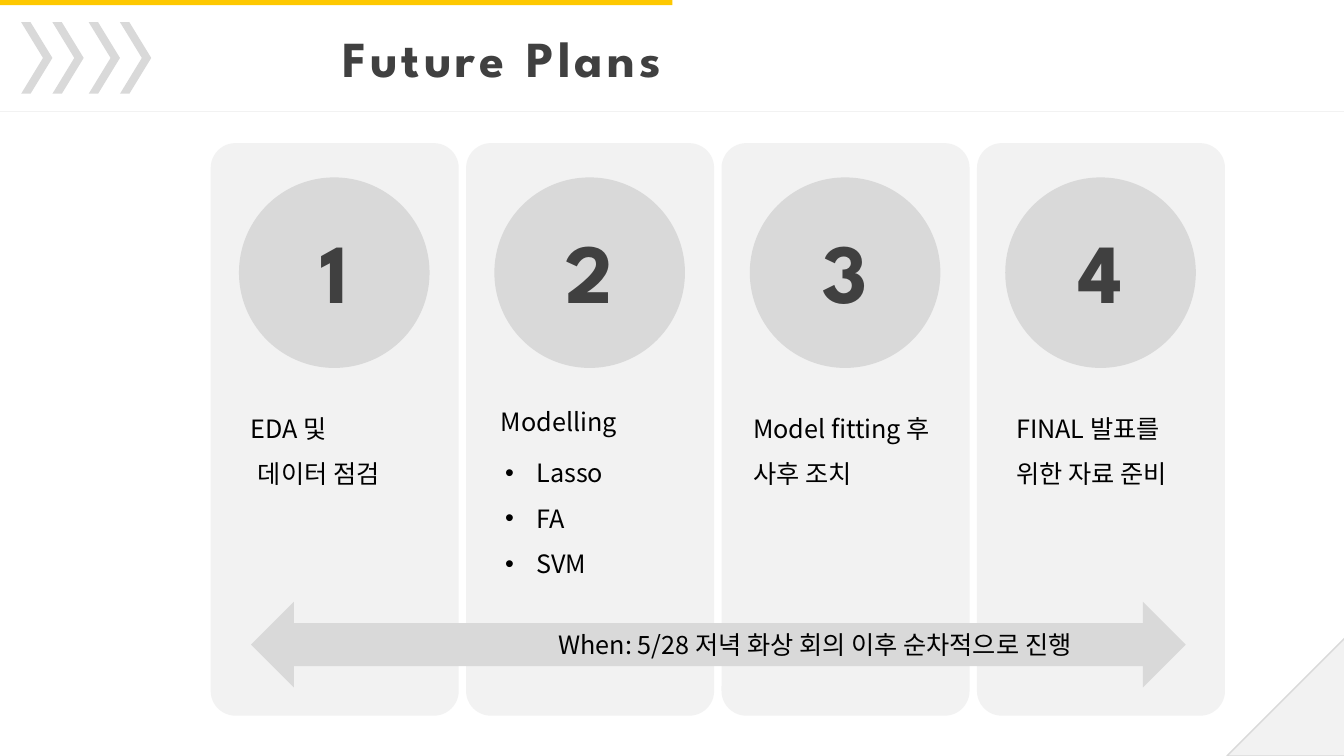
import dataclasses

import lxml.etree
import pptx
import pptx.dml.color
import pptx.enum.shapes
import pptx.enum.text
import pptx.oxml.ns
import pptx.util

Inches = pptx.util.Inches
Kind = pptx.enum.shapes.MSO_SHAPE
Align = pptx.enum.text.PP_ALIGN
qn = pptx.oxml.ns.qn


def color(code):
    return pptx.dml.color.RGBColor.from_string(code)


@dataclasses.dataclass(frozen=True)
class Theme:
    gold: str = "FEC800"
    pale: str = "F2F2F2"
    gray: str = "D9D9D9"
    dark: str = "404040"
    black: str = "000000"
    head: str = "League Spartan"
    body: str = "Noto Sans CJK KR"
    title: int = 36
    digit: int = 60
    text: int = 18


class Deck:
    def __init__(self, theme):
        self.theme = theme
        self.show = pptx.Presentation()
        self.show.slide_width = Inches(13.33)
        self.show.slide_height = Inches(7.5)
        self.slide = self.show.slides.add_slide(self.show.slide_layouts[1])

    def shape(self, kind, box, fill, adj=None, edge=None):
        item = self.slide.shapes.add_shape(kind, *map(Inches, box))
        item.shadow.inherit = False
        item.fill.solid()
        item.fill.fore_color.rgb = color(fill)
        if edge:
            item.line.color.rgb = color(edge)
            item.line.width = pptx.util.Pt(1)
        else:
            item.line.fill.background()
        if adj is not None:
            item.adjustments[0] = adj
        return item

    def rule(self, start, end, fill):
        line = self.slide.shapes.add_connector(
            pptx.enum.shapes.MSO_CONNECTOR.STRAIGHT, *map(Inches, start + end))
        line.line.color.rgb = color(fill)
        line.line.width = pptx.util.Pt(0.5)
        lxml.etree.SubElement(line._element.spPr, qn("a:effectLst"))

    def style(self, run, face, size, tint, bold):
        looks = {"name": face, "size": pptx.util.Pt(size), "bold": bold}
        for key, value in looks.items():
            setattr(run.font, key, value)
        run.font.color.rgb = color(tint)
        east = lxml.etree.SubElement(run._r.get_or_add_rPr(), qn("a:ea"))
        east.set("typeface", face)

    def letter(self, item, rows, wrap=True, space=1.0, align=Align.LEFT,
               dot=False, face=None, size=None, tint=None, bold=False):
        theme = self.theme
        frame = item.text_frame
        setup = {"word_wrap": wrap,
                 "auto_size": pptx.enum.text.MSO_AUTO_SIZE.NONE,
                 "vertical_anchor": pptx.enum.text.MSO_ANCHOR.TOP}
        for key, value in setup.items():
            setattr(frame, key, value)
        for spot, (words, inset) in enumerate(rows):
            para = frame.paragraphs[0] if spot == 0 else frame.add_paragraph()
            props = para._p.get_or_add_pPr()
            if dot:
                props.set("marL", str(Inches(0.31)))
                props.set("indent", str(Inches(-0.31)))
                font = lxml.etree.SubElement(props, qn("a:buFont"))
                font.set("typeface", "Arial")
                lxml.etree.SubElement(props, qn("a:buChar")).set("char", "•")
            elif inset:
                props.set("marL", str(Inches(inset)))
            looks = {"alignment": align, "line_spacing": space,
                     "space_before": pptx.util.Pt(0)}
            for key, value in looks.items():
                setattr(para, key, value)
            run = para.add_run()
            run.text = words
            self.style(run, face or theme.body, size or theme.text,
                       tint or theme.black, bold)
        return item

    def text(self, box, rows, **looks):
        item = self.slide.shapes.add_textbox(*map(Inches, box))
        return self.letter(item, rows, **looks)

    def holder(self, spot, box, rows, **looks):
        item = self.slide.placeholders[spot]
        sides = dict(zip(("left", "top", "width", "height"), box))
        for key, value in sides.items():
            setattr(item, key, Inches(value))
        self.slide.shapes._spTree.append(item._element)
        return self.letter(item, rows, **looks)

    def save(self):
        self.show.save("out.pptx")


def main():
    theme = Theme()
    deck = Deck(theme)
    strong = {"face": theme.head, "tint": theme.dark, "bold": True}

    fold = deck.shape(Kind.RIGHT_TRIANGLE, (12.17, 6.33, 1.17, 1.17),
                      theme.pale, edge=theme.gray)
    fold._element.spPr.find(qn("a:xfrm")).set("flipH", "1")
    deck.shape(Kind.RECTANGLE, (0, 0, 6.67, 0.05), theme.gold)
    title = deck.holder(0, (3.07, 0.22, 3.59, 0.71), [("Future Plans", 0)],
                        wrap=False, align=Align.RIGHT, size=theme.title,
                        **strong)
    title.text_frame.paragraphs[0].runs[0]._r.get_or_add_rPr().set("spc", "300")
    deck.rule((0, 1.1), (13.33, 1.1), theme.pale)

    for pair in (0.21, 0.88):
        for step in (0, 0.31):
            deck.shape(Kind.CHEVRON, (pair + step, 0.22, 0.31, 0.71),
                       theme.gray, adj=0.7)

    pitch = (9.69 - 2.09) / 3
    lefts = [2.09 + pitch * spot for spot in range(4)]
    for left in lefts:
        deck.shape(Kind.ROUNDED_RECTANGLE, (left, 1.42, 2.46, 5.68),
                   theme.pale, adj=0.1)
        deck.shape(Kind.OVAL, (left + 0.28, 1.76, 1.89, 1.89), theme.gray)
    deck.shape(Kind.LEFT_RIGHT_ARROW, (2.49, 5.97, 9.27, 0.85), theme.gray)
    for digit, left in enumerate(lefts, 1):
        deck.text((left + 0.81, 2.13, 0.83, 1.11), [(str(digit), 0)],
                  align=Align.CENTER, size=theme.digit, **strong)

    plans = [
        (2.39, 1.89, [("EDA 및", 0), ("데이터 점검", 0.07)]),
        (7.37, 2.05, [("Model fitting 후", 0), ("사후 조치", 0)]),
        (9.98, 1.89, [("FINAL 발표를 위한 자료 준비", 0)]),
    ]
    for left, width, rows in plans:
        deck.text((left, 3.9, width, 1.01), rows, space=1.5)
    deck.text((4.87, 3.98, 1.89, 0.4), [("Modelling", 0)])
    deck.holder(1, (4.91, 4.34, 1.89, 1.46),
                [("Lasso", 0), ("FA", 0), ("SVM", 0)], space=1.5, dot=True)
    deck.text((5.44, 6.19, 6.3, 0.4),
              [("When: 5/28 저녁 화상 회의 이후 순차적으로 진행", 0)])
    deck.save()


if __name__ == "__main__":
    main()
